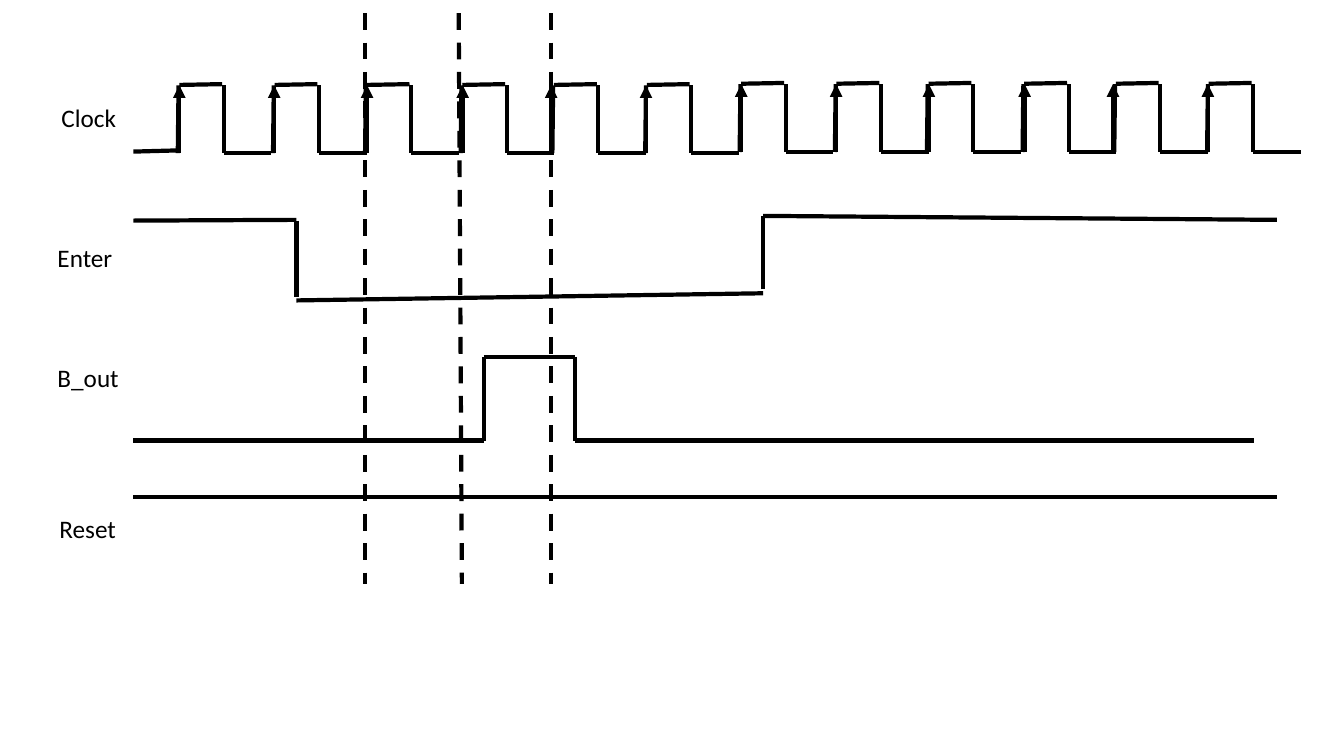
from dataclasses import dataclass

from lxml.etree import SubElement
from pptx import Presentation
from pptx.dml.color import RGBColor
from pptx.enum.dml import MSO_LINE
from pptx.enum.shapes import MSO_CONNECTOR
from pptx.enum.text import MSO_AUTO_SIZE
from pptx.oxml.ns import qn
from pptx.util import Cm, Pt


@dataclass(frozen=True)
class Theme:
    ink: RGBColor = RGBColor(0, 0, 0)
    font: str = "Calibri"
    label_size: Pt = Pt(18)
    stroke: Pt = Pt(3)


theme = Theme()
deck = Presentation()
deck.slide_width, deck.slide_height = Cm(33.87), Cm(19.05)
slide = deck.slides.add_slide(deck.slide_layouts[6])


def draw_stroke(x1, y1, x2, y2, dash=None, arrow=False):
    """Draw one line, given in centimetres, with an optional arrowhead at its end."""
    stroke = slide.shapes.add_connector(
        MSO_CONNECTOR.STRAIGHT, Cm(x1), Cm(y1), Cm(x2), Cm(y2))
    stroke.line.color.rgb = theme.ink
    for attribute, value in {"width": theme.stroke, "dash_style": dash}.items():
        setattr(stroke.line, attribute, value)
    if arrow:
        SubElement(stroke.line._get_or_add_ln(), qn("a:tailEnd"), type="triangle")
    SubElement(stroke._element.spPr, qn("a:effectLst"))


# Clock: six pulses, then the same six again further right and slightly higher
pulse_rises = [4.5, 6.9, 9.22, 11.63, 13.94, 16.28]
arrow_positions = [4.52, 6.91, 9.25, 11.66, 13.89, 16.28]
high_width, low_width = 1.14, 1.2
clock_high, clock_low = 2.15, 3.86
wave_start = 3.36

draw_stroke(wave_start, 3.82, 4.48, 3.79)
for shift, lift in [(0, 0), (14.16, 0.03)]:
    high, low = clock_high - lift, clock_low - lift
    for pulse_rise, arrow_position in zip(pulse_rises, arrow_positions):
        rise = pulse_rise + shift
        fall = rise + high_width
        edge = arrow_position + shift
        draw_stroke(rise, high, rise - 0.02, low)
        draw_stroke(rise + 0.02, high - 0.01, fall - 0.04, high - 0.03)
        draw_stroke(fall, high, fall, low)
        draw_stroke(fall, low, fall + low_width, low)
        draw_stroke(edge, low, edge, high, arrow=True)

# Signals: each segment runs from one point to another
enter_segments = [
    (wave_start, 5.56, 7.47, 5.54),
    (7.47, 5.56, 7.47, 7.49),
    (7.47, 7.57, 19.23, 7.39),
    (19.23, 7.29, 19.23, 5.44),
    (19.23, 5.44, 32.18, 5.54),
]
out_high, out_low = 8.99, 11.1
out_rise, out_fall = 12.19, 14.5
out_segments = [
    (wave_start, out_low, out_rise, out_low),
    (out_rise, out_low, out_rise, out_high),
    (out_rise, out_high, out_fall, out_high),
    (out_fall, out_high, out_fall, out_low),
    (out_fall, out_low, 31.6, out_low),
]
reset_segments = [(wave_start, 12.52, 32.18, 12.52)]
for segment in enter_segments + out_segments + reset_segments:
    draw_stroke(*segment)

# Sampling marks across all signals
for mark_top, mark_bottom in [(9.2, 9.2), (11.56, 11.64), (13.89, 13.89)]:
    draw_stroke(mark_top, 0.33, mark_bottom, 14.71, dash=MSO_LINE.DASH)

signal_labels = [
    ("Clock", 1.3, 2.46, 1.9),
    ("Enter", 1.2, 5.99, 1.9),
    ("B_out", 1.2, 9, 2.08),
    ("Reset", 1.25, 12.8, 1.95),
]
label_format = {"name": theme.font, "size": theme.label_size}
for signal, left, top, width in signal_labels:
    label = slide.shapes.add_textbox(Cm(left), Cm(top), Cm(width), Cm(1.03))
    frame = label.text_frame
    frame.word_wrap = False
    frame.auto_size = MSO_AUTO_SIZE.SHAPE_TO_FIT_TEXT
    run = frame.paragraphs[0].add_run()
    run.text = signal
    run.font.color.rgb = theme.ink
    for attribute, value in label_format.items():
        setattr(run.font, attribute, value)

deck.save("out.pptx")
